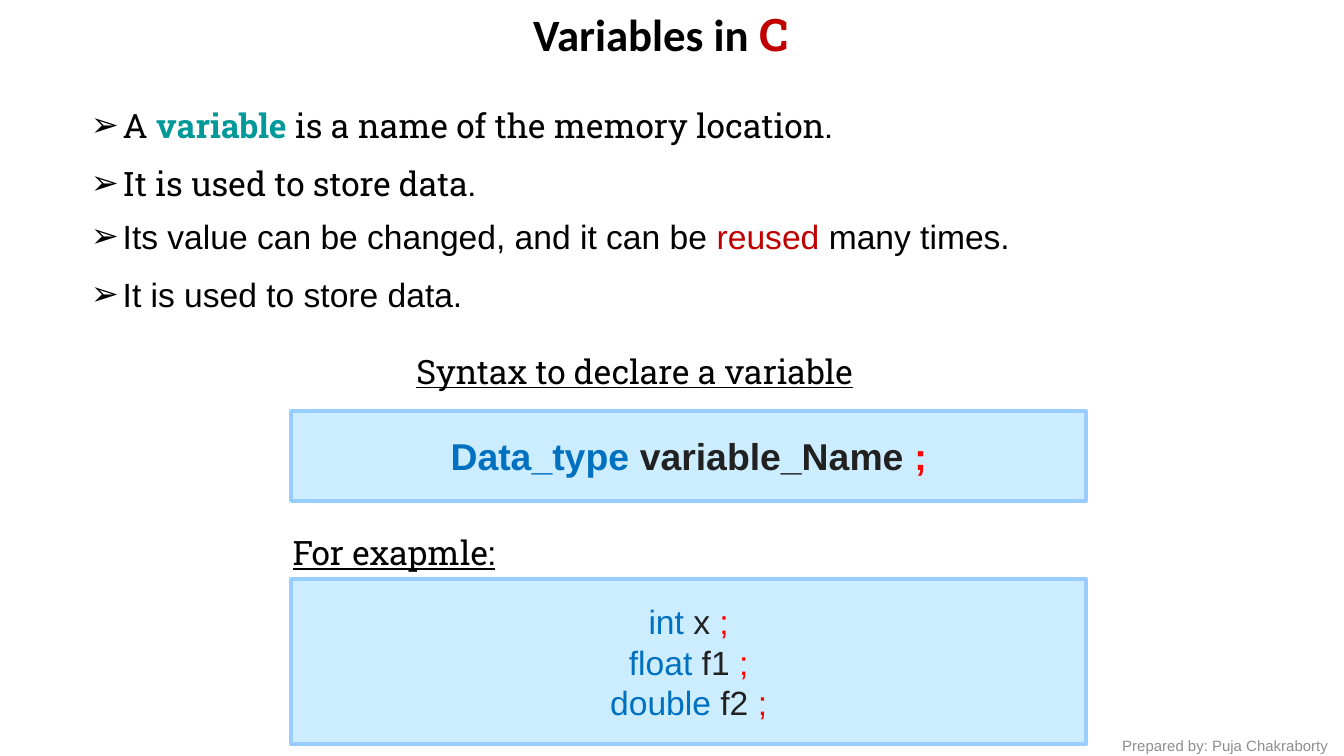
"""Build the slide that introduces variables in C."""
from lxml import etree
from pptx import Presentation
from pptx.dml.color import RGBColor
from pptx.enum.shapes import MSO_SHAPE
from pptx.enum.text import MSO_ANCHOR, MSO_AUTO_SIZE, PP_ALIGN
from pptx.oxml.ns import qn
from pptx.util import Cm, Pt

RECTANGLE = MSO_SHAPE.RECTANGLE
MIDDLE = MSO_ANCHOR.MIDDLE
FIT_SHAPE = MSO_AUTO_SIZE.SHAPE_TO_FIT_TEXT
LEFT, CENTER = PP_ALIGN.LEFT, PP_ALIGN.CENTER

BLACK = RGBColor(0x00, 0x00, 0x00)
GREY = RGBColor(0x8E, 0x8E, 0x8E)
TEAL = RGBColor(0x00, 0x99, 0x99)
DARK_RED = RGBColor(0xC0, 0x00, 0x00)
TYPE_BLUE = RGBColor(0x00, 0x70, 0xC0)
NAME_GREY = RGBColor(0x21, 0x21, 0x21)
MARK_RED = RGBColor(0xFF, 0x00, 0x00)
PANEL_FILL = RGBColor(0xCC, 0xEC, 0xFF)
PANEL_LINE = RGBColor(0x99, 0xCC, 0xFF)

SANS, SLAB, HEADING = "Arial", "Roboto Slab", "Calibri"


class Lesson:
    """Hold the slide and its text style, and draw each kind of element."""

    base = {"name": SANS, "size": Pt(18)}

    def __init__(self, slide):
        self.slide = slide

    def fill_paragraph(self, paragraph, runs, align, style):
        paragraph.alignment = align
        for words, color, *changes in runs:
            run = paragraph.add_run()
            run.text = words
            run.font.color.rgb = color
            formats = {**self.base, **style, **dict(*changes)}
            for key, value in formats.items():
                setattr(run.font, key, value)

    def text(self, box, runs, align=LEFT, **style):
        frame = self.slide.shapes.add_textbox(*map(Cm, box)).text_frame
        frame.word_wrap = True
        frame.auto_size = FIT_SHAPE
        self.fill_paragraph(frame.paragraphs[0], runs, align, style)
        return frame.paragraphs[0]

    def bullet(self, top, runs, font):
        point = self.text((1.47, top, 22.02, 1.02), runs, name=font)
        properties = point._p.get_or_add_pPr()
        properties.set("marL", str(Cm(0.6)))
        properties.set("indent", str(-Cm(0.6)))
        color = etree.SubElement(properties, qn("a:buClr"))
        etree.SubElement(color, qn("a:srgbClr"), val=str(BLACK))
        etree.SubElement(properties, qn("a:buFont"), typeface=SANS)
        etree.SubElement(properties, qn("a:buChar"), char="➢")

    def label(self, left, top, words):
        self.text((left, top, 9.96, 1.02), [(words, BLACK)],
                  name=SLAB, underline=True)

    def code(self, top, height, declarations, **style):
        panel = self.slide.shapes.add_shape(
            RECTANGLE, Cm(5.5), Cm(top), Cm(15.03), Cm(height))
        panel.shadow.inherit = False
        panel.fill.solid()
        panel.fill.fore_color.rgb = PANEL_FILL
        panel.line.color.rgb = PANEL_LINE
        panel.line.width = Pt(2)
        frame = panel.text_frame
        frame.vertical_anchor = MIDDLE
        for index, (data_type, variable) in enumerate(declarations):
            line = frame.add_paragraph() if index else frame.paragraphs[0]
            runs = [(data_type + " ", TYPE_BLUE), (variable + " ", NAME_GREY),
                    (";", MARK_RED)]
            self.fill_paragraph(line, runs, CENTER, style)


def main():
    deck = Presentation()
    deck.slide_width, deck.slide_height = Cm(25.4), Cm(14.29)
    lesson = Lesson(deck.slides.add_slide(deck.slide_layouts[6]))

    lesson.text((20.96, 13.79, 4.65, 0.61),
                [("Prepared by: Puja Chakraborty", GREY)], size=Pt(8))
    lesson.text((4.65, 0, 15.67, 1.27),
                [("Variables in ", BLACK), ("C", DARK_RED, {"name": SLAB})],
                CENTER, name=HEADING, size=Pt(24), bold=True)

    storage = [("It is used to store data.", BLACK)]
    meaning = [("A ", BLACK), ("variable", TEAL, {"bold": True}),
               (" is a name of the memory location.", BLACK)]
    reuse = [("Its value can be changed, and it can be ", BLACK),
             ("reused", DARK_RED), (" many times.", BLACK)]
    points = [(1.85, meaning, SLAB), (2.95, storage, SLAB),
              (3.96, reuse, SANS), (5.05, storage, SANS)]
    for top, runs, font in points:
        lesson.bullet(top, runs, font)

    lesson.label(7.62, 6.5, "Syntax to declare a variable")
    lesson.code(7.77, 1.7, [("Data_type", "variable_Name")],
                size=Pt(20), bold=True)
    lesson.code(10.95, 3.12, [("int", "x"), ("float", "f1"), ("double", "f2")])
    lesson.label(5.28, 9.93, "For exapmle:")
    deck.save("out.pptx")


if __name__ == "__main__":
    main()
